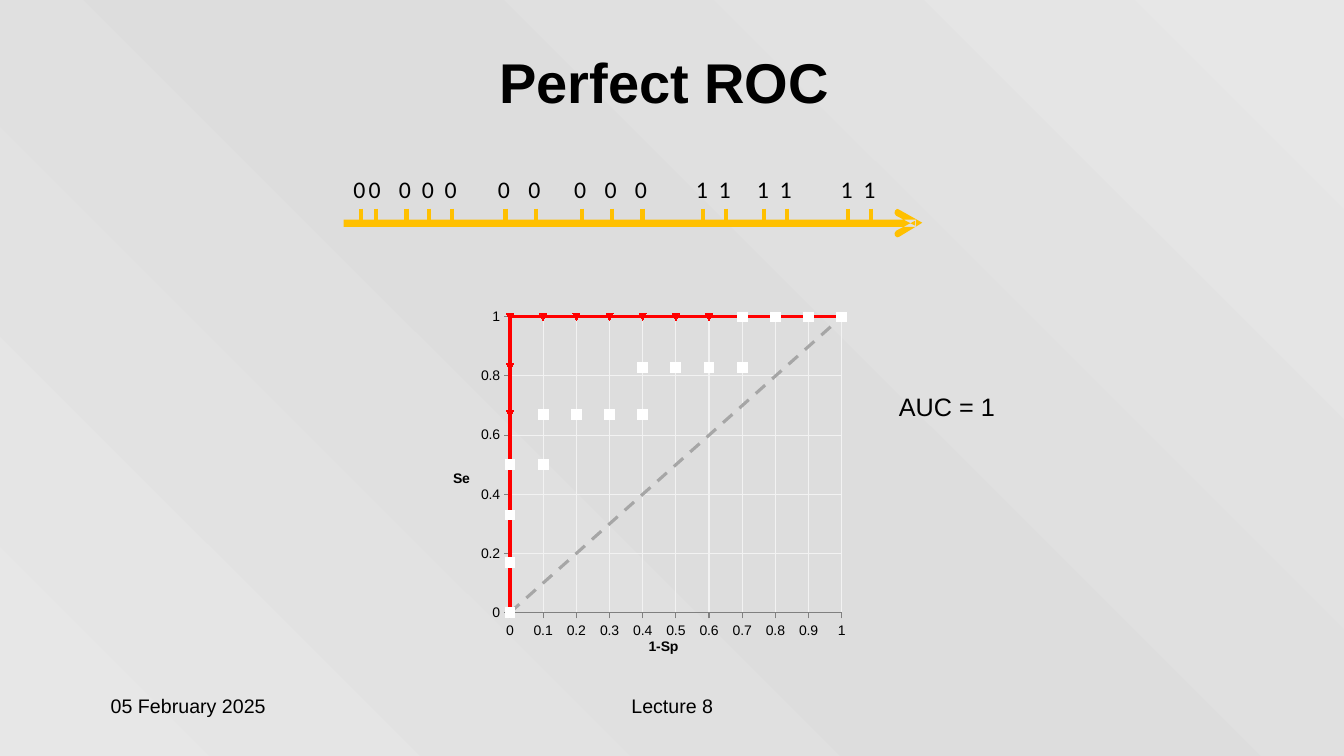
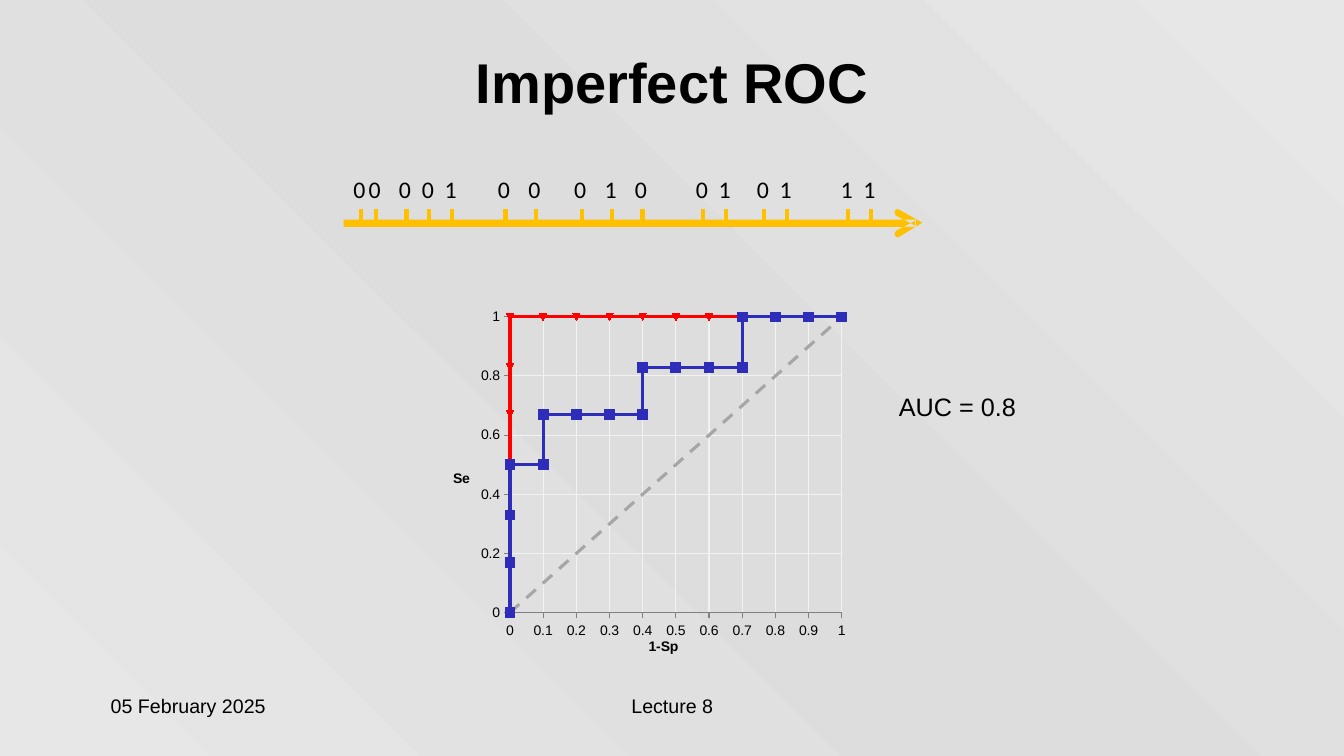
import copy
import itertools

import lxml.etree
import pptx
import pptx.chart.data
import pptx.dml.color
import pptx.enum.chart
import pptx.enum.dml
import pptx.enum.shapes
import pptx.enum.text
import pptx.oxml
import pptx.oxml.ns
import pptx.util

RGB = pptx.dml.color.RGBColor
BLACK = RGB(0x00, 0x00, 0x00)
WHITE = RGB(0xFF, 0xFF, 0xFF)
PALE = RGB(0xE7, 0xE7, 0xE7)
MIST = RGB(0xDD, 0xDD, 0xDD)
GRID = RGB(0xF2, 0xF2, 0xF2)
ASH = RGB(0xA6, 0xA6, 0xA6)
SLATE = RGB(0x80, 0x80, 0x80)
RED = RGB(0xFF, 0x00, 0x00)
BLUE = RGB(0x2D, 0x2D, 0xB9)
GOLD = RGB(0xFF, 0xC0, 0x00)

COLS, ROWS = 160, 90
WIDE, TALL = pptx.util.Inches(13.33), pptx.util.Inches(7.5)

ALIGN = pptx.enum.text.PP_ALIGN
ANCHOR = pptx.enum.text.MSO_ANCHOR
MARK = pptx.enum.chart.XL_MARKER_STYLE
DASH = pptx.enum.dml.MSO_LINE.DASH

# Scores on the number line, in equal steps from the first tick
STEPS = [0, 2, 6, 9, 12, 19, 23, 29, 33, 37, 45, 48, 53, 56, 64, 67]
START, SPAN = 42.96, 60.72

SHAFT = [(40.92, 26.16), (109.08, 26.16), (109.08, 27), (40.92, 27)]
HEAD = [(107.04, 24.96), (109.8, 26.52), (107.04, 28.2), (106.8, 28.26),
        (106.56, 28.08), (106.5, 27.78), (106.68, 27.48), (108.96, 26.28),
        (108.96, 26.88), (106.68, 25.68), (106.5, 25.38), (106.56, 25.08),
        (106.8, 24.87)]


def spread(*pairs):
    """Expand (value, count) pairs into a flat list."""
    return list(itertools.chain.from_iterable([v] * n for v, n in pairs))


STAIR = list(zip(
    spread((1, 1), (0.9, 1), (0.8, 2), (0.7, 2), (0.6, 3), (0.5, 2),
           (0.4, 5), (0.3, 2), (0.2, 4), (0.1, 3), (0, 7)),
    spread((1, 5), (0.83, 9), (0.67, 9), (0.5, 3), (0.33, 3), (0.17, 1),
           (0, 2))))
IDEAL = list(zip(
    spread((1, 1), (0.9, 1), (0.8, 2), (0.7, 1), (0.6, 1), (0.5, 3),
           (0.4, 2), (0.3, 3), (0.2, 2), (0.1, 2), (0, 14)),
    spread((1, 22), (0.83, 1), (0.67, 1), (0.5, 2), (0.33, 3), (0.17, 1),
           (0, 2))))
CHANCE = [(0, 0), (1, 1)]


def place(node, index, **shares):
    """Give a chart part a manual layout in shares of the chart."""
    tag = pptx.oxml.ns.qn
    for old in node.findall(tag("c:layout")):
        node.remove(old)
    layout = lxml.etree.Element(tag("c:layout"))
    manual = lxml.etree.SubElement(layout, tag("c:manualLayout"))
    if "w" in shares:
        lxml.etree.SubElement(manual, tag("c:layoutTarget"), val="inner")
    for key in "xy":
        lxml.etree.SubElement(manual, tag(f"c:{key}Mode"), val="edge")
    for key, share in shares.items():
        lxml.etree.SubElement(manual, tag(f"c:{key}"), val=str(share))
    node.insert(index, layout)


class Deck:
    def __init__(self):
        self.prs = pptx.Presentation()
        self.prs.slide_width, self.prs.slide_height = WIDE, TALL
        self.slide = None
        self.shade()

    def shade(self):
        """Set the shared diagonal gradient on the master."""
        master = self.prs.slide_master
        fill = master.background.fill
        fill.gradient()
        fill.gradient_angle = 45
        stops = next(master.element.iter(pptx.oxml.ns.qn("a:gsLst")))
        stops.append(copy.deepcopy(stops[0]))
        tones = [(0, PALE), (0.5, MIST), (1, PALE)]
        for stop, (pos, tone) in zip(fill.gradient_stops, tones):
            stop.position = pos
            stop.color.rgb = tone

    def col(self, n):
        return round(WIDE * n / COLS)

    def row(self, n):
        return round(TALL * n / ROWS)

    def box(self, x, y, w, h):
        return self.col(x), self.row(y), self.col(w), self.row(h)

    def page(self, title):
        self.slide = self.prs.slides.add_slide(self.prs.slide_layouts[6])
        self.text(title, 3.12, 3.6, 153.72, 12.12, 40, bold=True,
                  align=ALIGN.CENTER, anchor=ANCHOR.MIDDLE)
        self.text("05 February 2025", 12, 82, 33.36, 6, 14)
        self.text("Lecture 8", 54.72, 82, 50.64, 6, 14, align=ALIGN.CENTER)

    def text(self, words, x, y, w, h, size, font="Arial", bold=False,
             align=ALIGN.LEFT, anchor=ANCHOR.TOP, tight=False):
        """Add a text box; a tight one has no insets and does not wrap."""
        frame = self.slide.shapes.add_textbox(*self.box(x, y, w, h)).text_frame
        frame.word_wrap = not tight
        frame.vertical_anchor = anchor
        if tight:
            frame.margin_left = frame.margin_right = 0
            frame.margin_top = frame.margin_bottom = 0
        para = frame.paragraphs[0]
        para.alignment = align
        run = para.add_run()
        run.text = words
        run.font.name, run.font.size = font, pptx.util.Pt(size)
        run.font.bold, run.font.color.rgb = bold, BLACK

    def tick(self, x, top, end):
        kind = pptx.enum.shapes.MSO_CONNECTOR.STRAIGHT
        line = self.slide.shapes.add_connector(
            kind, self.col(x), self.row(top), self.col(x), self.row(end))
        line.line.color.rgb = GOLD
        line.line.width = pptx.util.Pt(2.88)
        props = line.element.find(pptx.oxml.ns.qn("p:spPr"))
        lxml.etree.SubElement(props, pptx.oxml.ns.qn("a:effectLst"))

    def arrow(self):
        shaft, head = ([(self.col(x), self.row(y)) for x, y in part]
                       for part in (SHAFT, HEAD))
        form = self.slide.shapes.build_freeform(*shaft[0])
        form.add_line_segments(shaft[1:], close=True)
        form.move_to(*head[0])
        form.add_line_segments(head[1:], close=True)
        shape = form.convert_to_shape()
        shape.shadow.inherit = False
        shape.fill.solid()
        shape.fill.fore_color.rgb = GOLD
        shape.line.fill.background()

    def scale(self, digits):
        """Draw the number line with one digit above each tick."""
        self.arrow()
        for step, digit in zip(STEPS, digits):
            x = START + SPAN * step / STEPS[-1]
            self.tick(x, 24.84, 26.64)
            self.text(digit, x - 0.9, 20.76, 1.44, 3.48, 17,
                      font="Calibri", tight=True)

    def axis(self, axis, name, unit, x, y):
        axis.minimum_scale, axis.maximum_scale = 0, 1
        axis.major_unit = unit
        axis.major_tick_mark = pptx.enum.chart.XL_TICK_MARK.OUTSIDE
        axis.format.line.color.rgb = SLATE
        axis.has_major_gridlines = True
        rule = axis.major_gridlines.format.line
        rule.color.rgb, rule.width = GRID, pptx.util.Pt(0.75)
        axis.tick_labels.number_format = "General"
        axis.tick_labels.number_format_is_linked = False
        frame = axis.axis_title.text_frame
        run = frame.paragraphs[0].add_run()
        run.text = name
        run.font.name, run.font.size = "Arial", pptx.util.Pt(10)
        run.font.bold, run.font.color.rgb = True, BLACK
        title = axis.axis_title.element
        next(title.iter(pptx.oxml.ns.qn("a:bodyPr"))).set("rot", "0")
        place(title, 1, x=x, y=y)

    def curve(self, series, line, style, mark=None, size=5):
        series.smooth = False
        series.format.line.width = pptx.util.Pt(2.25)
        if line is None:
            series.format.line.fill.background()
        else:
            series.format.line.color.rgb = line
        series.marker.style = style
        if mark is not None:
            series.marker.size = size
            series.marker.format.fill.solid()
            series.marker.format.fill.fore_color.rgb = mark
            series.marker.format.line.color.rgb = mark

    def roc(self, line, mark):
        """Chart the stair, ideal and chance curves."""
        data = pptx.chart.data.XyChartData()
        for n, points in enumerate((STAIR, IDEAL, CHANCE), 1):
            series = data.add_series(f"Series {n}")
            for x, y in points:
                series.add_data_point(x, y)
        kind = pptx.enum.chart.XL_CHART_TYPE.XY_SCATTER_LINES
        chart = self.slide.shapes.add_chart(
            kind, *self.box(51.6, 33.72, 50.64, 44.76), data).chart
        chart.has_legend = chart.has_title = False
        chart.font.name, chart.font.size = "Arial", pptx.util.Pt(10)
        chart.font.color.rgb = BLACK
        plot = chart.plots[0]
        plot.vary_by_categories = False
        stair, ideal, chance = plot.series
        self.curve(stair, line, MARK.SQUARE, mark, 7)
        self.curve(ideal, RED, MARK.AUTOMATIC, RED)
        self.curve(chance, ASH, MARK.NONE)
        chance.format.line.dash_style = DASH
        self.axis(chart.category_axis, "1-Sp", 0.1, 0.5, 0.94)
        self.axis(chart.value_axis, "Se", 0.2, 0.04, 0.49)
        tag = pptx.oxml.ns.qn
        for cross in chart.element.iter(tag("c:crossBetween")):
            cross.set("val", "between")
        area = next(chart.element.iter(tag("c:plotArea")))
        place(area, 0, x=0.18, y=0.09, w=0.78, h=0.79)


def main():
    deck = Deck()
    for title, digits, line, mark, area in (
            ("Perfect ROC ", "0000000000111111", None, WHITE, "1"),
            ("Imperfect ROC", "0000100010010111", BLUE, BLUE, "0.8")):
        deck.page(title)
        deck.roc(line, mark)
        deck.scale(digits)
        deck.text(f"AUC = {area}", 105.84, 45.96, 28.92, 4.8, 18)
    deck.prs.save("out.pptx")


if __name__ == "__main__":
    main()
